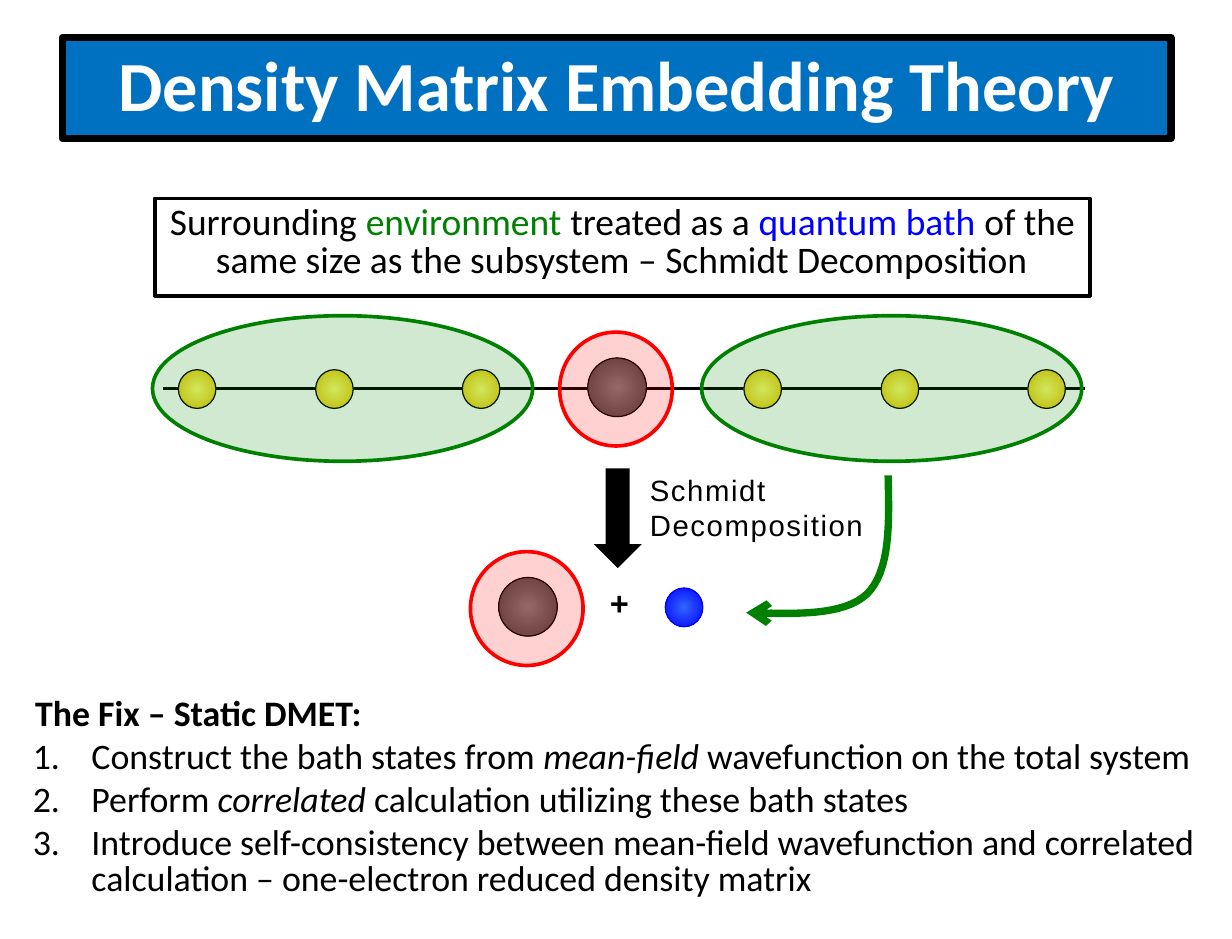
from lxml import etree
from pptx import Presentation
from pptx.dml.color import RGBColor
from pptx.enum.shapes import MSO_CONNECTOR, MSO_SHAPE as SHAPE
from pptx.enum.text import MSO_ANCHOR as ANCHOR, PP_ALIGN as ALIGN
from pptx.oxml.ns import qn
from pptx.util import Inches, Pt

BLACK = RGBColor(0x00, 0x00, 0x00)
WHITE = RGBColor(0xFF, 0xFF, 0xFF)
BANNER = RGBColor(0x00, 0x70, 0xC0)
GREEN = RGBColor(0x00, 0x80, 0x00)
BLUE = RGBColor(0x00, 0x00, 0xFF)
RED = RGBColor(0xFF, 0x00, 0x00)
SITE = (RGBColor(0xFF, 0xFF, 0x73), RGBColor(0xE9, 0xC5, 0x00))
IMPURITY = (RGBColor(0x80, 0x80, 0x80), RGBColor(0x40, 0x40, 0x40))
BATH = (RGBColor(0x33, 0x66, 0xFF), BLUE)

TITLE = [[("Density Matrix Embedding Theory", {})]]
SUMMARY = [[
    ("Surrounding ", {}),
    ("environment ", {"color": GREEN}),
    ("treated as a ", {}),
    ("quantum bath ", {"color": BLUE}),
    ("of the same size as the subsystem – Schmidt Decomposition", {}),
]]
PLUS = [[("+", {})]]
ARROW_LABEL = [[("Schmidt Decomposition", {})]]
FIX_HEADING = [[("The Fix – Static DMET:", {})]]
FIX_STEPS = [
    [("Construct the bath states from ", {}), ("mean-field ", {"italic": True}),
     ("wavefunction on the total system", {})],
    [("Perform ", {}), ("correlated", {"italic": True}),
     (" calculation utilizing these bath states", {})],
    [("Introduce self-consistency between mean-field wavefunction and correlated "
      "calculation – one-electron reduced density matrix", {})],
]

SITE_OFFSETS = [0, 1.17, 2.42]
CHAIN_STARTS = [1.52, 6.34]
ENVIRONMENTS = [1.3, 5.98]
BATH_CURVES = [
    [(7.57, 4.05), (7.58, 4.46), (7.59, 4.86), (7.39, 5.06)],
    [(7.39, 5.06), (7.19, 5.25), (6.77, 5.23), (6.36, 5.22)],
]
CURVE_STEPS = 16


def add_part(page, kind, left, top, width, height, fill=None, line=None, weight=0.75, alpha=None):
    shape = page.shapes.add_shape(kind, Inches(left), Inches(top), Inches(width), Inches(height))
    shape.shadow.inherit = False
    if isinstance(fill, tuple) and not isinstance(fill, RGBColor):
        shape.fill.gradient()
        for stop, color in zip(shape.fill.gradient_stops, fill):
            stop.color.rgb = color
        gradient = shape._element.spPr.find(qn("a:gradFill"))
        gradient.remove(gradient.find(qn("a:lin")))
        radial = etree.SubElement(gradient, qn("a:path"), path="circle")
        etree.SubElement(radial, qn("a:fillToRect"), l="50000", t="50000", r="50000", b="50000")
    elif fill is not None:
        shape.fill.solid()
        shape.fill.fore_color.rgb = fill
    else:
        shape.fill.background()
    if alpha:
        color = shape._element.spPr.find(qn("a:solidFill"))[0]
        etree.SubElement(color, qn("a:alpha"), val=str(alpha * 1000))
    if line is None:
        shape.line.fill.background()
    else:
        shape.line.color.rgb = line
        shape.line.width = Pt(weight)
    return shape


def add_box(page, left, top, width, height):
    return page.shapes.add_textbox(Inches(left), Inches(top), Inches(width), Inches(height))


def write(box, paragraphs, size=22, font="Calibri", color=BLACK, bold=False, align=ALIGN.LEFT,
          anchor=ANCHOR.TOP, inset=(0.11, 0.05), leading=None, gap=0, tracking=None,
          numbered=False):
    frame = box.text_frame
    frame.word_wrap = True
    frame.vertical_anchor = anchor
    frame.margin_left = frame.margin_right = Inches(inset[0])
    frame.margin_top = frame.margin_bottom = Inches(inset[1])
    for index, spans in enumerate(paragraphs):
        para = frame.add_paragraph() if index else frame.paragraphs[0]
        para.alignment = align
        if leading:
            para.line_spacing = Pt(leading)
        if index and gap:
            para.space_before = Pt(gap)
        if numbered:
            properties = para._p.get_or_add_pPr()
            properties.set("marL", str(Inches(0.5)))
            properties.set("indent", str(-Inches(0.5)))
            etree.SubElement(properties, qn("a:buFont"), typeface="+mj-lt")
            etree.SubElement(properties, qn("a:buAutoNum"), type="arabicPeriod")
        for text, style in spans:
            span = para.add_run()
            span.text = text
            span.font.size = Pt(size)
            span.font.name = font
            span.font.bold = bold
            span.font.italic = style.get("italic", False)
            span.font.color.rgb = style.get("color", color)
            if tracking:
                span._r.get_or_add_rPr().set("spc", str(tracking * 100))


def curve_point(curve, t):
    weights = [(1 - t) ** 3, 3 * t * (1 - t) ** 2, 3 * t * t * (1 - t), t ** 3]
    return tuple(Inches(sum(w * p[axis] for w, p in zip(weights, curve))) for axis in (0, 1))


def add_bath_arrow(page):
    points = [curve_point(curve, step / CURVE_STEPS)
              for curve in BATH_CURVES for step in range(1, CURVE_STEPS + 1)]
    builder = page.shapes.build_freeform(*curve_point(BATH_CURVES[0], 0))
    builder.add_line_segments(points, close=False)
    arrow = builder.convert_to_shape()
    arrow.shadow.inherit = False
    arrow.fill.background()
    arrow.line.color.rgb = GREEN
    arrow.line.width = Pt(4.5)
    outline = arrow.line._get_or_add_ln()
    etree.SubElement(outline, qn("a:round"))
    etree.SubElement(outline, qn("a:tailEnd"), type="arrow")


def add_chain(page):
    bond = page.shapes.add_connector(
        MSO_CONNECTOR.STRAIGHT, Inches(1.39), Inches(3.31), Inches(9.25), Inches(3.31))
    bond.line.color.rgb = BLACK
    bond.line.width = Pt(2)
    etree.SubElement(bond._element.spPr, qn("a:effectLst"))
    add_part(page, SHAPE.OVAL, 5.01, 3.05, 0.5, 0.5, IMPURITY, BLACK)
    for start in CHAIN_STARTS:
        for offset in SITE_OFFSETS:
            add_part(page, SHAPE.OVAL, start + offset, 3.15, 0.32, 0.33, SITE, BLACK)
    add_part(page, SHAPE.OVAL, 4.77, 2.83, 0.96, 0.97, RED, RED, 2.25, alpha=18)
    for left in ENVIRONMENTS:
        add_part(page, SHAPE.OVAL, left, 2.69, 3.24, 1.24, GREEN, GREEN, 2.25, alpha=18)


def add_decomposition(page):
    add_part(page, SHAPE.OVAL, 5.67, 5.01, 0.32, 0.33, BATH, BLUE)
    add_part(page, SHAPE.OVAL, 4.25, 4.92, 0.5, 0.5, IMPURITY, BLACK)
    add_part(page, SHAPE.OVAL, 4.01, 4.7, 0.96, 0.97, RED, RED, 2.25, alpha=18)
    write(add_box(page, 5.1, 4.92, 0.38, 0.44), PLUS, size=20, font="Arial", bold=True,
          inset=(0.1, 0.05), tracking=1)
    add_part(page, SHAPE.DOWN_ARROW, 5.06, 3.99, 0.41, 0.85, BLACK)
    write(add_box(page, 5.44, 3.97, 2.2, 0.71), ARROW_LABEL, size=18, font="Arial",
          inset=(0.1, 0.05), tracking=1)
    add_bath_arrow(page)


def main():
    deck = Presentation()
    deck.slide_width, deck.slide_height = Inches(10.5), Inches(8)
    page = deck.slides.add_slide(deck.slide_layouts[6])
    add_part(page, SHAPE.RECTANGLE, 0.53, 0.32, 9.45, 0.86, BANNER, BLACK, 4.5)
    write(add_box(page, 0.53, 0.28, 9.45, 0.86), TITLE, size=43.2, color=WHITE, bold=True,
          align=ALIGN.CENTER, anchor=ANCHOR.MIDDLE)
    summary = add_part(page, SHAPE.RECTANGLE, 1.32, 1.69, 7.97, 0.83, line=BLACK, weight=2.25)
    write(summary, SUMMARY, size=23, align=ALIGN.CENTER, inset=(0.11, 0.06), leading=23.3)
    add_chain(page)
    add_decomposition(page)
    heading = add_part(page, SHAPE.RECTANGLE, 0.19, 5.9, 3.28, 0.51, line=WHITE, weight=2.25)
    write(heading, FIX_HEADING, bold=True, leading=22)
    write(add_box(page, 0.17, 6.26, 10.33, 1.89), FIX_STEPS, leading=22, gap=4.4, numbered=True)
    deck.save("out.pptx")


if __name__ == "__main__":
    main()
